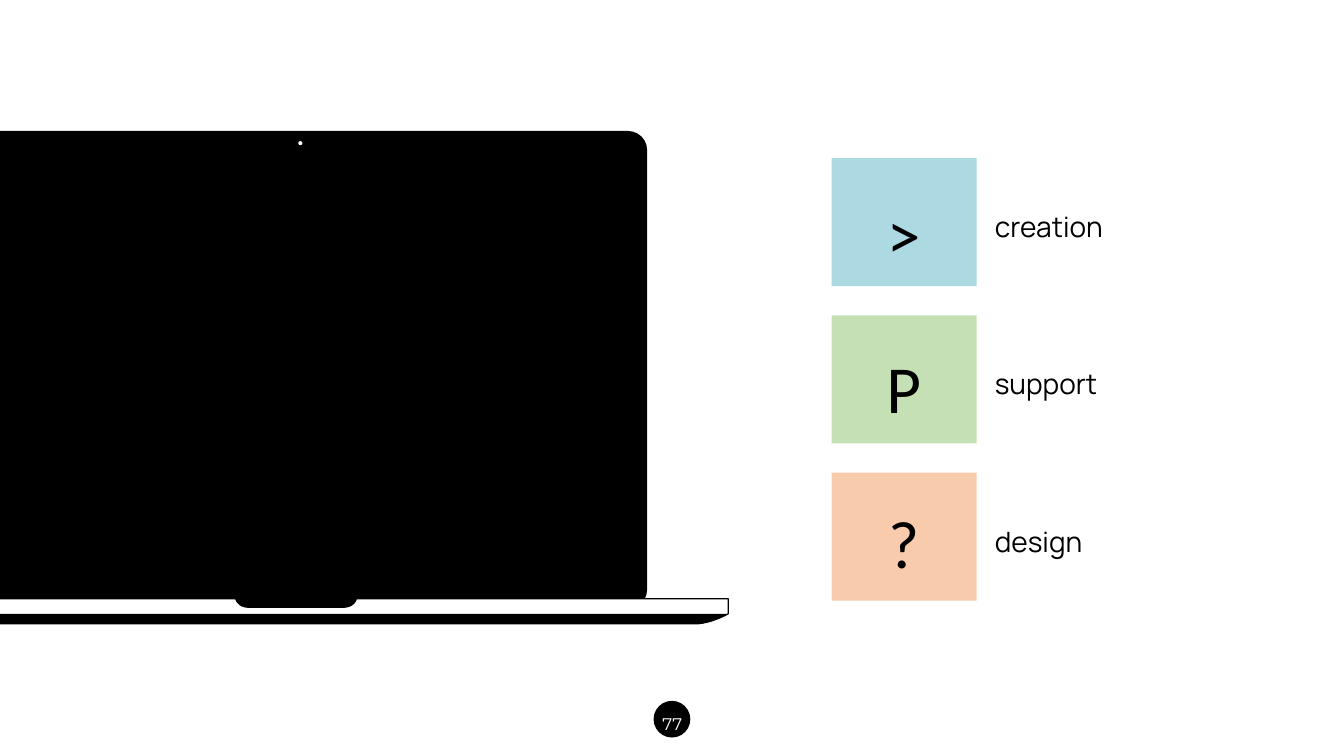
from dataclasses import dataclass
from pptx import Presentation
from pptx.dml.color import RGBColor
from pptx.enum.shapes import MSO_SHAPE
from pptx.enum.text import MSO_AUTO_SIZE, PP_ALIGN
from pptx.util import Inches, Pt

RECT = MSO_SHAPE.RECTANGLE
ROUND = MSO_SHAPE.ROUNDED_RECTANGLE
OVAL = MSO_SHAPE.OVAL
GROW = MSO_AUTO_SIZE.SHAPE_TO_FIT_TEXT
LEFT, MID = PP_ALIGN.LEFT, PP_ALIGN.CENTER
WIDE, HIGH = Inches(13.333), Inches(7.5)
AXIS = 22.03


@dataclass(frozen=True)
class Theme:
    ink: str = "000000"
    paper: str = "FFFFFF"
    blue: str = "ACD9E2"
    green: str = "C5E0B4"
    peach: str = "F8CBAD"
    icon: tuple = ("Calibri", 48)
    label: tuple = ("Manrope", 20)
    page: tuple = ("Montserrat", 12)


THEME = Theme()


def spot(x, y):
    return round(WIDE * x / 100), round(HIGH * y / 100)


def frame(x, y, w, h):
    return *spot(x, y), *spot(w, h)


def paint(shape, fill, line=None, width=1):
    shape.shadow.inherit = False
    shape.fill.solid()
    shape.fill.fore_color.rgb = RGBColor.from_string(fill)
    if line:
        shape.line.color.rgb = RGBColor.from_string(line)
        shape.line.width = Pt(width)
    else:
        shape.line.fill.background()


def block(shapes, kind, box, fill, line=None):
    shape = shapes.add_shape(kind, *frame(*box))
    paint(shape, fill, line)
    return shape


def words(shapes, box, text, style, color, align=LEFT, space=None):
    area = shapes.add_textbox(*frame(*box)).text_frame
    area.word_wrap = True
    area.auto_size = GROW
    para = area.paragraphs[0]
    para.alignment = align
    para.line_spacing = space
    run = para.add_run()
    run.text = text
    name, size = style
    run.font.name = name
    run.font.size = Pt(size)
    run.font.color.rgb = RGBColor.from_string(color)


def curve(a, b, c, d, steps=12):
    points = []
    for step in range(steps + 1):
        t = step / steps
        u = 1 - t
        points.append(tuple(
            u**3 * p + 3 * u * u * t * q + 3 * u * t * t * r + t**3 * s
            for p, q, r, s in zip(a, b, c, d)))
    return points


def bowl(shapes, half, fill, line=None, width=1):
    mirror = [(2 * AXIS - x, y) for x, y in reversed(half)]
    first, *rest = [spot(*point) for point in half + mirror]
    pen = shapes.build_freeform(*first)
    pen.add_line_segments(rest, close=True)
    paint(pen.convert_to_shape(), fill, line, width)


def laptop(slide):
    parts = slide.shapes.add_group_shape().shapes
    lid = block(parts, ROUND, (-3.9, 17.33, 52.05, 63.2), THEME.ink)
    lid.adjustments[0] = 0.04
    edge = (-10.13, 81.2)
    foot = curve(edge, edge, (-8.85, 82.53), (-7.65, 82.53))
    notch = curve((17.48, 79.07), (17.55, 79.87), (18, 80.4), (18.45, 80.4))
    bowl(parts, [(-10.13, 79.2)] + foot, THEME.paper, THEME.ink, 0.79)
    bowl(parts, foot, THEME.ink)
    bowl(parts, notch, THEME.ink)
    block(parts, OVAL, (22.2, 18.67, 0.3, 0.53), THEME.paper)


def legend(slide):
    rows = ((">", "creation", THEME.blue),
            ("P", "support", THEME.green),
            ("?", "design", THEME.peach))
    shapes = slide.shapes
    for row, (sign, name, fill) in enumerate(rows):
        drop = 20.8 * row
        block(shapes, RECT, (61.88, 20.93 + drop, 10.8, 16.93), fill)
        words(shapes, (64.2, 24.8 + 20.4 * row, 6.08, 12.13),
              sign, THEME.icon, THEME.ink, MID)
        words(shapes, (73.28, 27.07 + drop, 10.95, 5.87),
              name, THEME.label, THEME.ink)


def footer(slide):
    block(slide.shapes, OVAL, (48.68, 92.8, 2.63, 4.67), THEME.ink, THEME.ink)
    words(slide.shapes, (48.15, 92.4, 3.75, 4.93),
          "77", THEME.page, THEME.paper, MID, 1.5)


def main():
    deck = Presentation()
    deck.slide_width, deck.slide_height = WIDE, HIGH
    slide = deck.slides.add_slide(deck.slide_layouts[6])
    footer(slide)
    laptop(slide)
    legend(slide)
    deck.save("out.pptx")


if __name__ == "__main__":
    main()
